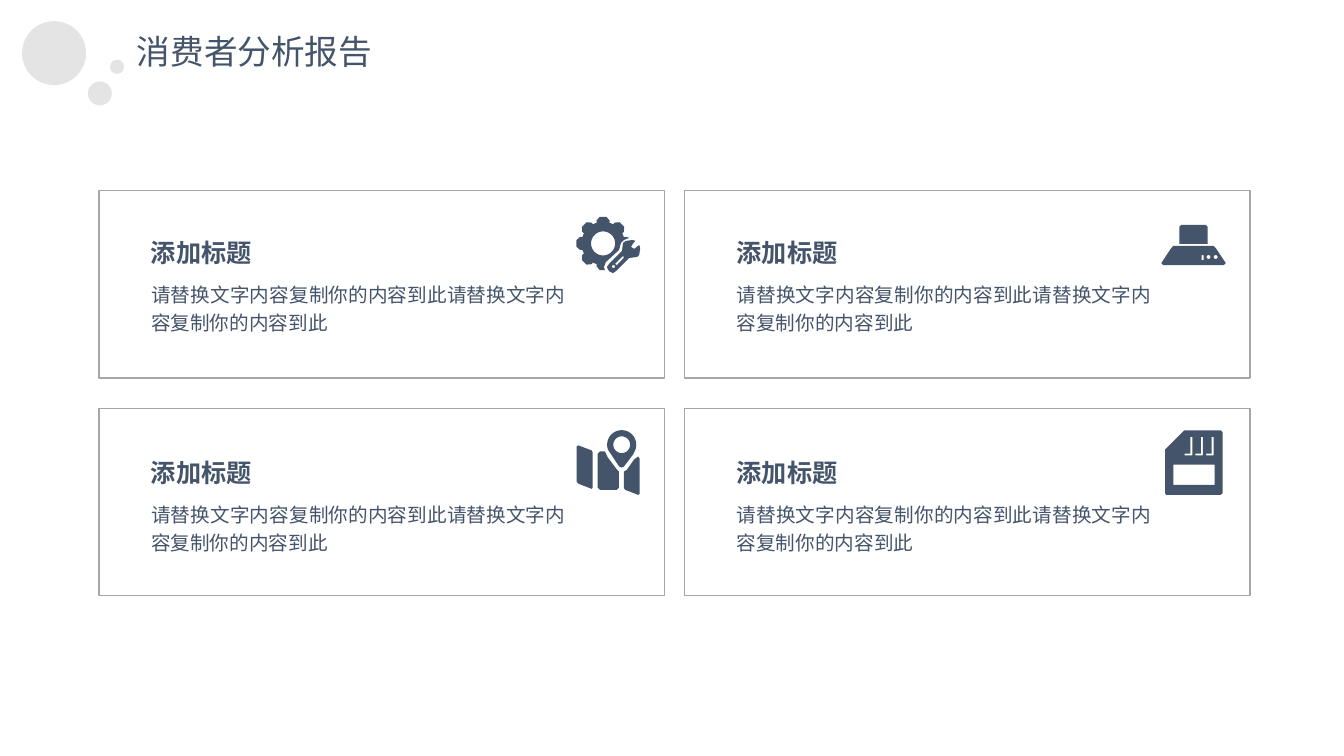
from math import cos, radians, sin

from lxml import etree
from pptx import Presentation
from pptx.dml.color import RGBColor
from pptx.enum.shapes import MSO_SHAPE as Preset
from pptx.enum.text import MSO_AUTO_SIZE as AutoSize, PP_ALIGN as Align
from pptx.oxml.ns import qn
from pptx.util import Pt

THEME = {
    "font": "Noto Sans CJK SC", "ink": "44546A", "border": "A6A6A6",
    "bubble": "D9D9D9", "bubble_alpha": 70,
    "heading_size": 24, "card_title_size": 18, "card_body_size": 14,
}
HEADING = "消费者分析报告"
CARD_TITLE = "添加标题"
CARD_BODY = "请替换文字内容复制你的内容到此请替换文字内容复制你的内容到此"
BUBBLES = [(15.8, 15.1, 45.7), (62.8, 58.2, 17.1), (78.6, 42.7, 10.1)]

CARD_LEFT, CARD_TOP = 70.6, 136.1
CARD_WIDTH, CARD_HEIGHT = 403.9, 133.9
COLUMN_STEP, ROW_STEP, TEXT_ROW_STEP = 418.3, 155.5, 157
TEXT_INDENT, TITLE_TOP, BODY_TOP = 30.2, 162, 195.1


def arc(center_x, center_y, radius, start=0, end=360, steps=36):
    angles = [radians(start + (end - start) * i / steps) for i in range(steps + 1)]
    return [(center_x + radius * cos(a), center_y + radius * sin(a)) for a in angles]


def box(left, top, right, bottom):
    return [(left, top), (right, top), (right, bottom), (left, bottom)]


def gear_rim(center_x, center_y):
    tooth = [(-17, 15.5), (-16, 17), (-7, 19.2), (7, 19.2), (16, 17), (17, 15.5)]
    points = []
    for tooth_angle in range(90, 361, 45):
        for offset, radius in tooth:
            angle = tooth_angle + offset
            if 90 < angle < 346:
                points.append((center_x + radius * cos(radians(angle)),
                               center_y + radius * sin(radians(angle))))
    return points


def card_contact(step):
    left = 14 + 7.6 * step
    return [(left, 16.6), (left + 4, 16.6), (left + 4, 4.7),
            (left + 5.4, 4.7), (left + 5.4, 18), (left, 18)]


GEAR_AND_WRENCH = [
    gear_rim(19.6, 19.1) + [(38.2, 15.1), (34.6, 16.6), (32.4, 18.7), (31, 23.8),
                            (21.6, 32.4), (20.2, 36), (20.9, 38.2)],
    arc(19.6, 19.1, 8.6),
    [(41, 16.6), (42.5, 17.3), (40.3, 20.2), (39.6, 21.6), (41.8, 23), (45.4, 20.2),
     (46.1, 22.3), (45.4, 27.4), (43.9, 28.8), (38.2, 29.5), (28.8, 38.9), (26.6, 40.3),
     (23.8, 38.9), (22.3, 36), (23.8, 33.8), (33.1, 24.5), (33.8, 18.7), (36, 17.3)],
    arc(27, 35.6, 1.1),
    [(33.8, 28.1), (34.6, 29.2), (29.5, 34.6), (28.1, 33.8)],
]
RANGE_HOOD = [
    [(8.6, 15.1), (37.4, 15.1), (38.9, 16.6), (46.1, 27.4),
     (44.6, 28.8), (1.4, 28.8), (0, 27.4), (7.2, 16.6)],
    [(14.4, 0), (31.7, 0), (33.1, 1.4), (33.1, 13.7), (13, 13.7), (13, 1.4)],
    arc(38.9, 23, 1.4), arc(33.8, 23, 1.4), box(28.8, 21.6, 30.2, 25.2),
]
MAP_AND_PIN = [
    [(44, 18.7), (45, 20.2), (45, 45.4), (44, 46.1), (34.6, 42.5),
     (33.8, 41), (33.8, 29.5), (36, 28.1), (41, 20.9)],
    [(16.6, 15.1), (20.2, 15.1), (22.3, 19.4), (28.8, 28.1), (30.2, 29.5),
     (30.2, 41), (28.8, 42.5), (16.6, 42.5), (15.1, 41), (15.1, 16.6)],
    [(1.4, 10.8), (10.8, 14.4), (11.5, 15.8), (11.5, 41),
     (10.8, 41.8), (1.4, 38.2), (0, 36.7), (0, 11.5)],
    arc(32.2, 10.3, 10.4, 160, 380) + [(40.3, 17.3), (33.8, 25.9), (32.2, 26.6),
                                       (30.4, 25.9), (25.2, 18)],
    arc(32.2, 10.3, 6),
]
MEMORY_CARD = [
    [(13, 0.7), (14, 0), (39.6, 0), (41, 1.4), (41, 45),
     (39.6, 46.1), (0.7, 46.1), (0, 45), (0, 13.7)],
    box(5.8, 24.5, 35.3, 38.9),
] + [card_contact(step) for step in range(3)]

CARDS = [
    (0, 0, GEAR_AND_WRENCH, (340.6, 18.7)),
    (0, 1, MAP_AND_PIN, (341.3, 15.8)),
    (1, 0, RANGE_HOOD, (340.6, 24.5)),
    (1, 1, MEMORY_CARD, (343.4, 15.8)),
]


def color(name):
    return RGBColor.from_string(THEME[name])


def add_text(shapes, text, left, top, width, height, size, bold=False,
             align=Align.LEFT, spacing=None, wrap=True):
    shape = shapes.add_textbox(Pt(left), Pt(top), Pt(width), Pt(height))
    frame = shape.text_frame
    frame.word_wrap = wrap
    frame.auto_size = AutoSize.SHAPE_TO_FIT_TEXT
    paragraph = frame.paragraphs[0]
    paragraph.alignment = align
    paragraph.line_spacing = spacing
    run = paragraph.add_run()
    run.text = text
    run.font.size = Pt(THEME[size])
    run.font.bold = bold
    run.font.color.rgb = color("ink")
    run.font.name = THEME["font"]
    etree.SubElement(run.font._element, qn("a:ea"), typeface=THEME["font"])


def add_bubble(shapes, left, top, diameter):
    shape = shapes.add_shape(Preset.FLOWCHART_CONNECTOR, Pt(left), Pt(top),
                             Pt(diameter), Pt(diameter))
    shape.shadow.inherit = False
    shape.fill.solid()
    shape.fill.fore_color.rgb = color("bubble")
    shape.line.fill.background()
    solid = shape._element.spPr.find(qn("a:solidFill"))
    etree.SubElement(solid[0], qn("a:alpha"), val=str(THEME["bubble_alpha"] * 1000))


def add_icon(shapes, contours, left, top):
    outlines = [[(Pt(x), Pt(y)) for x, y in contour] for contour in contours]
    builder = shapes.build_freeform(*outlines[0][0])
    for index, outline in enumerate(outlines):
        if index:
            builder.move_to(*outline[0])
        builder.add_line_segments(outline[1:], close=True)
    shape = builder.convert_to_shape(Pt(left), Pt(top))
    shape.shadow.inherit = False
    shape.fill.solid()
    shape.fill.fore_color.rgb = color("ink")
    shape.line.fill.background()


def add_card(slide, column, row, icon, icon_offset):
    shapes = slide.shapes.add_group_shape().shapes
    left = CARD_LEFT + column * COLUMN_STEP
    top = CARD_TOP + row * ROW_STEP
    frame = shapes.add_shape(Preset.RECTANGLE, Pt(left), Pt(top),
                             Pt(CARD_WIDTH), Pt(CARD_HEIGHT))
    frame.shadow.inherit = False
    frame.fill.background()
    frame.line.color.rgb = color("border")
    frame.line.width = Pt(1)
    add_icon(shapes, icon, left + icon_offset[0], top + icon_offset[1])
    text_left, text_shift = left + TEXT_INDENT, row * TEXT_ROW_STEP
    add_text(shapes, CARD_BODY, text_left, BODY_TOP + text_shift, 310.3, 48.2,
             "card_body_size", align=Align.JUSTIFY, spacing=1.2)
    add_text(shapes, CARD_TITLE, text_left, TITLE_TOP + text_shift, 161.3, 32.4,
             "card_title_size", bold=True, align=Align.JUSTIFY, spacing=1.2)


def main():
    presentation = Presentation()
    presentation.slide_width, presentation.slide_height = Pt(960), Pt(540)
    slide = presentation.slides.add_slide(presentation.slide_layouts[6])
    for bubble in BUBBLES:
        add_bubble(slide.shapes, *bubble)
    add_text(slide.shapes, HEADING, 90.7, 18.7, 184.3, 36, "heading_size", wrap=False)
    for card in CARDS:
        add_card(slide, *card)
    presentation.save("out.pptx")


if __name__ == "__main__":
    main()
